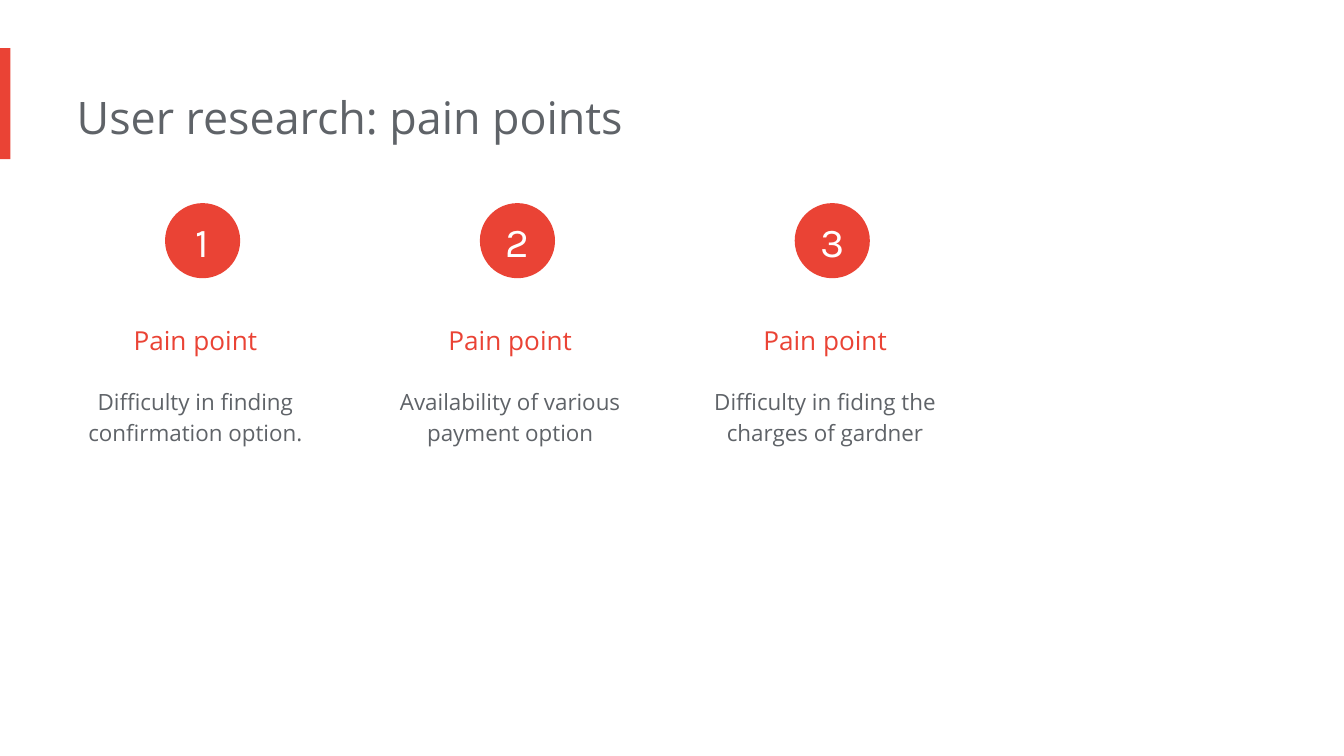
from pptx import Presentation
from pptx.dml.color import RGBColor
from pptx.enum import shapes, text
from pptx.util import Cm, Pt

RED = RGBColor(0xEA, 0x43, 0x35)
GREY = RGBColor(0x5F, 0x63, 0x68)
WHITE = RGBColor(0xFF, 0xFF, 0xFF)
POINTS = [
    "Difficulty in finding confirmation option.",
    "Availability of various payment option",
    "Difficulty in fiding the charges of gardner",
]


def write(shape, words, size, color, font="Open Sans", align=text.PP_ALIGN.CENTER,
          space=1.0, pad=0.25, anchor=text.MSO_ANCHOR.TOP,
          fit=text.MSO_AUTO_SIZE.SHAPE_TO_FIT_TEXT):
    """Put one formatted paragraph into a shape."""
    frame = shape.text_frame
    frame.word_wrap = True
    frame.auto_size = fit
    frame.vertical_anchor = anchor
    frame.margin_left = 0
    frame.margin_top = frame.margin_right = frame.margin_bottom = Cm(pad)
    para = frame.paragraphs[0]
    para.text = words
    para.alignment = align
    para.line_spacing = space
    para.font.name = font
    para.font.size = Pt(size)
    para.font.color.rgb = color


def add_form(slide, kind, left, top, width, height):
    """Add a flat red shape without outline."""
    form = slide.shapes.add_shape(kind, Cm(left), Cm(top), Cm(width), Cm(height))
    form.shadow.inherit = False
    form.fill.solid()
    form.fill.fore_color.rgb = RED
    form.line.fill.background()
    return form


def add_label(slide, words, left, top, height, **style):
    """Add a text box of column width."""
    box = slide.shapes.add_textbox(Cm(left), Cm(top), Cm(5.2), Cm(height))
    write(box, words, **style)


def add_title(slide, words):
    """Place and format the title."""
    title = slide.shapes.title
    title.left, title.top = Cm(1.45), Cm(1.45)
    title.width, title.height = Cm(17.1), Cm(1.55)
    write(title, words, 24, GREY, align=text.PP_ALIGN.LEFT)


def add_point(slide, number, words, left):
    """Add a numbered column with heading and description."""
    disc = add_form(slide, shapes.MSO_SHAPE.OVAL, left + 1.9, 3.84, 1.42, 1.42)
    write(disc, str(number), 22, WHITE, font="Karla", pad=0,
          anchor=text.MSO_ANCHOR.MIDDLE, fit=text.MSO_AUTO_SIZE.NONE)
    add_label(slide, "Pain point", left, 5.59, 1.12, size=14, color=RED, space=1.5)
    add_label(slide, words, left, 7.01, 1.7, size=12, color=GREY, space=1.15)


def main():
    """Build and save the slide."""
    deck = Presentation()
    deck.slide_width, deck.slide_height = Cm(25.4), Cm(14.29)
    slide = deck.slides.add_slide(deck.slide_layouts[5])
    add_form(slide, shapes.MSO_SHAPE.RECTANGLE, 0, 0.91, 0.2, 2.1)
    add_title(slide, "User research: pain points")
    for index, words in enumerate(POINTS):
        add_point(slide, index + 1, words, 1.22 + index * 5.95)
    deck.save("out.pptx")


if __name__ == "__main__":
    main()
